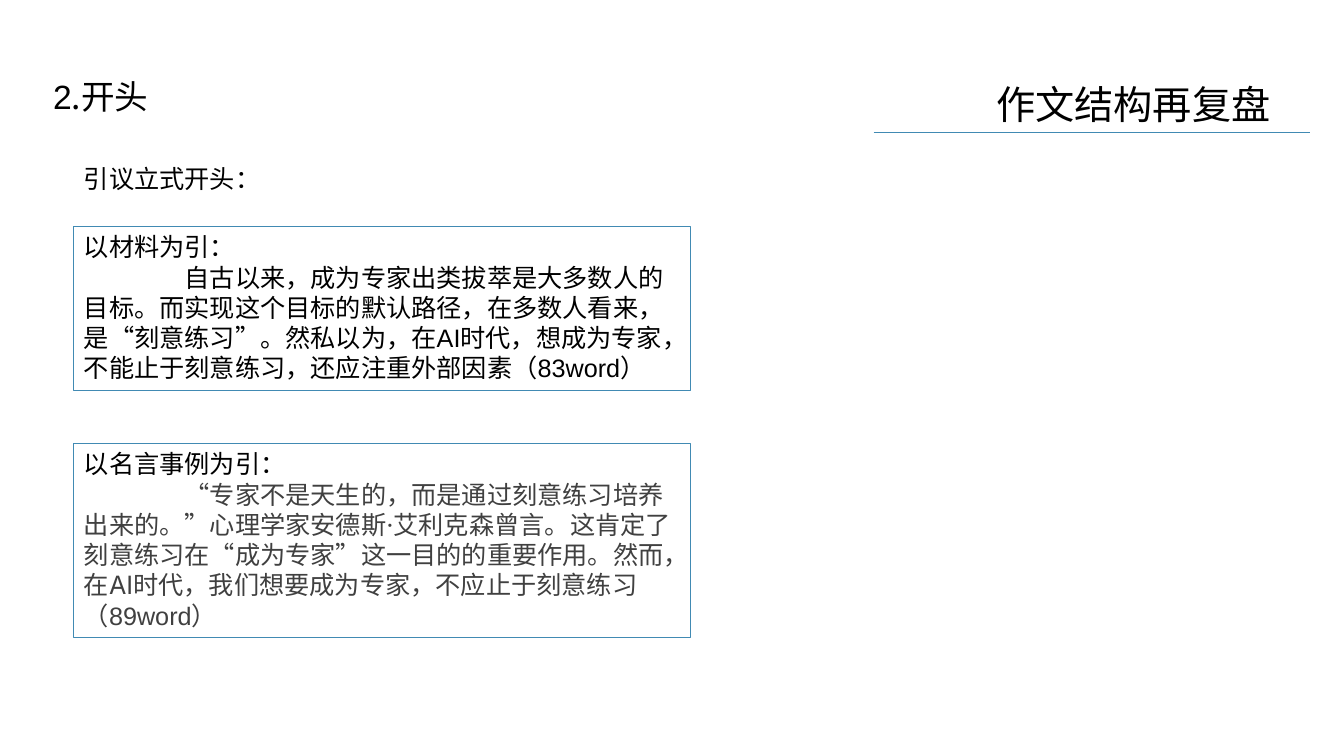
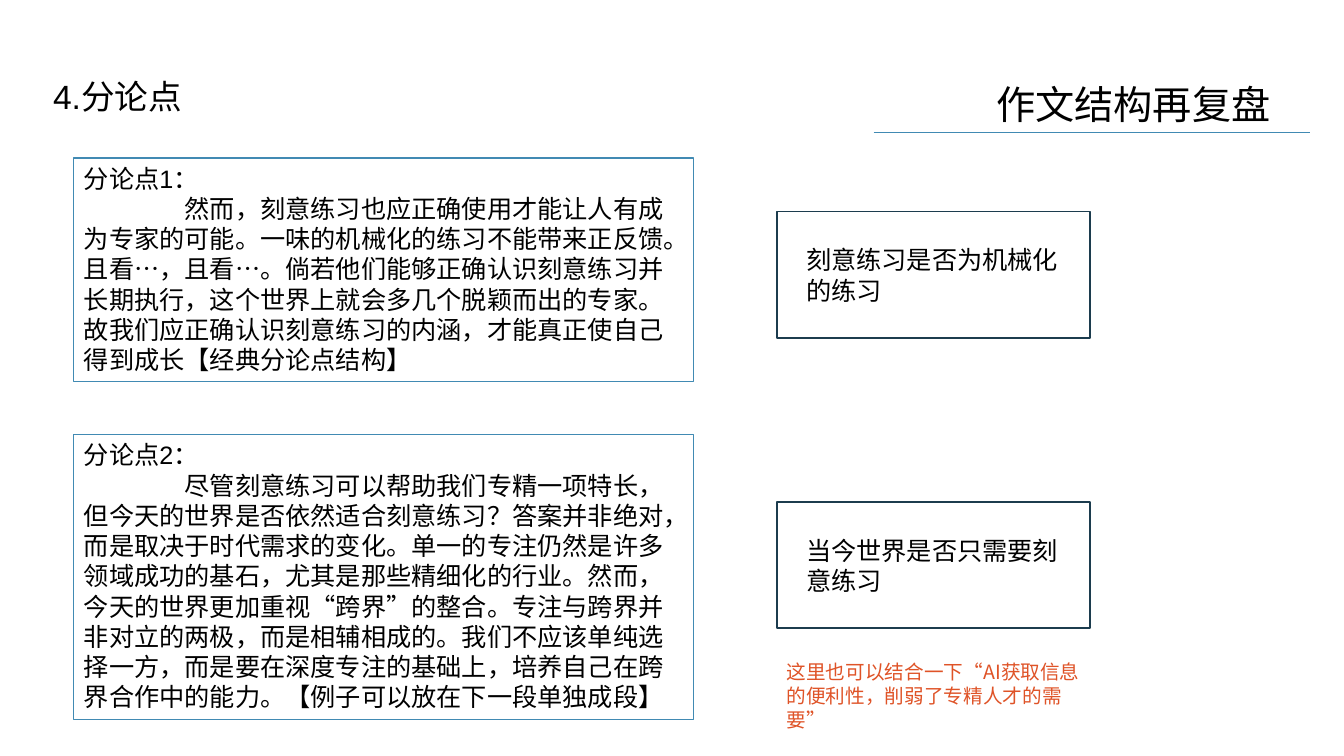
from dataclasses import dataclass

from lxml import etree
from pptx import Presentation
from pptx.dml.color import RGBColor
from pptx.enum.shapes import MSO_CONNECTOR, MSO_SHAPE
from pptx.enum.text import MSO_ANCHOR, MSO_AUTO_SIZE, PP_ALIGN
from pptx.oxml.ns import qn
from pptx.util import Emu, Inches, Pt

RECTANGLE = MSO_SHAPE.RECTANGLE
STRAIGHT = MSO_CONNECTOR.STRAIGHT
TOP, MIDDLE = MSO_ANCHOR.TOP, MSO_ANCHOR.MIDDLE
LEFT = PP_ALIGN.LEFT
NO_FIT, GROW = MSO_AUTO_SIZE.NONE, MSO_AUTO_SIZE.SHAPE_TO_FIT_TEXT

SLIDE_WIDTH, SLIDE_HEIGHT = Inches(13.33), Inches(7.5)
TITLE_ONLY = 5
ARIAL, INTER, CHINESE = "Arial", "Inter", "Noto Sans CJK SC"
BLACK, GREY, BLUE, NAVY, ORANGE = "000000", "404040", "418AB3", "1C3C4E", "DF5327"
OPENING_INDENT = Inches(1)


@dataclass(frozen=True)
class Area:
    """Left, top, width and height in percent of the slide."""
    left: float
    top: float
    width: float
    height: float

    def emu(self) -> tuple[Emu, Emu, Emu, Emu]:
        return (across(self.left), down(self.top), across(self.width), down(self.height))


@dataclass(frozen=True)
class Span:
    text: str
    font: str = ARIAL
    color: str = BLACK
    size: float = 18


@dataclass(frozen=True)
class Passage:
    area: Area
    label: str
    body: tuple[Span, ...]


@dataclass(frozen=True)
class Caption:
    area: Area
    span: Span


@dataclass(frozen=True)
class Lesson:
    heading: tuple[Span, ...]
    passages: tuple[Passage, ...]
    claims: tuple[Caption, ...] = ()
    remarks: tuple[Caption, ...] = ()


def across(percent: float) -> Emu:
    return Emu(round(SLIDE_WIDTH * percent / 100))


def down(percent: float) -> Emu:
    return Emu(round(SLIDE_HEIGHT * percent / 100))


def rgb(color: str) -> RGBColor:
    return RGBColor.from_string(color)


def add_spans(paragraph, spans: tuple[Span, ...]) -> None:
    paragraph.alignment = LEFT
    for span in spans:
        run = paragraph.add_run()
        run.text = span.text
        run.font.name = span.font
        run.font.size = Pt(span.size)
        run.font.color.rgb = rgb(span.color)
        east_asian = etree.SubElement(run.font._element, qn("a:ea"))
        east_asian.set("typeface", CHINESE)


def prepare_frame(shape, anchor=TOP, fit=GROW):
    frame = shape.text_frame
    frame.word_wrap = True
    frame.vertical_anchor = anchor
    frame.auto_size = fit
    return frame


def add_caption(slide, caption: Caption):
    textbox = slide.shapes.add_textbox(*caption.area.emu())
    add_spans(prepare_frame(textbox).paragraphs[0], (caption.span,))
    return textbox


def add_frame(slide, area: Area, color: str, weight: float):
    frame = slide.shapes.add_shape(RECTANGLE, *area.emu())
    frame.shadow.inherit = False
    frame.fill.background()
    frame.line.color.rgb = rgb(color)
    frame.line.width = Pt(weight)
    return frame


def add_passage(slide, passage: Passage) -> None:
    text = prepare_frame(add_frame(slide, passage.area, BLUE, 0.75))
    add_spans(text.paragraphs[0], (Span(passage.label),))
    body = text.add_paragraph()
    add_spans(body, passage.body)
    body._p.get_or_add_pPr().set("indent", str(OPENING_INDENT))


def add_claim(slide, claim: Caption) -> None:
    text = prepare_frame(add_frame(slide, claim.area, NAVY, 1), MIDDLE, NO_FIT)
    text.margin_left = text.margin_right = Inches(0.29)
    add_spans(text.paragraphs[0], (claim.span,))


def add_rule(slide, left: float, right: float, top: float):
    rule = slide.shapes.add_connector(
        STRAIGHT, across(left), down(top), across(right), down(top))
    rule.line.color.rgb = rgb(BLUE)
    rule.line.width = Pt(0.5)
    etree.SubElement(rule.element.spPr, qn("a:effectLst"))
    return rule


def add_banner_to_layout(slide) -> None:
    banner = (add_caption(slide, BANNER), add_rule(slide, 65, 97.5, 17.5))
    for number, part in enumerate(banner, start=101):
        part.element.xpath(".//p:cNvPr")[0].set("id", str(number))
        slide.slide_layout.shapes.element.append(part.element)


def set_heading(slide, spans: tuple[Span, ...]) -> None:
    heading = slide.shapes.title
    heading.left, heading.top, heading.width, heading.height = HEADING_AREA.emu()
    paragraph = prepare_frame(heading, TOP, NO_FIT).paragraphs[0]
    paragraph.line_spacing = 0.9
    add_spans(paragraph, spans)


def add_lesson(slide, lesson: Lesson) -> None:
    set_heading(slide, lesson.heading)
    for passage in lesson.passages:
        add_passage(slide, passage)
    for claim in lesson.claims:
        add_claim(slide, claim)
    for remark in lesson.remarks:
        add_caption(slide, remark)


BANNER = Caption(Area(73.4, 10, 24.1, 11.7), Span("作文结构再复盘", CHINESE, size=28))
HEADING_AREA = Area(3.2, 10, 23.3, 7.3)

LESSONS = (
    Lesson(
        heading=(Span("2", size=24), Span(".开头", CHINESE, size=24)),
        passages=(
            Passage(Area(5.5, 30, 45.9, 21.6), "以材料为引：", (
                Span("自古以来，成为专家出类拔萃是大多数人的目标。而实现这个目标的默认路径，"
                     "在多数人看来，是“刻意练习”。然私以为，在AI时代，想成为专家，"
                     "不能止于刻意练习，还应注重外部因素（83word）"),
            )),
            Passage(Area(5.5, 58.7, 45.9, 25.6), "以名言事例为引：", (
                Span("“专家不是天生的，而是通过刻意练习培养出来的。”心理学家安德斯·艾利克森曾言。"
                     "这肯定了刻意练习在“成为专家”这一目的的重要作用。然而，在AI时代，"
                     "我们想要成为专家，不应止于刻意练习", INTER, GREY),
                Span("（89word）", color=GREY),
            )),
        ),
        remarks=(Caption(Area(5.5, 20.9, 19.7, 5.3), Span("引议立式开头：")),),
    ),
    Lesson(
        heading=(Span("4.分论点", size=24),),
        passages=(
            Passage(Area(5.5, 20.9, 46.1, 29.6), "分论点1：", (
                Span("然而，刻意练习也应正确使用才能让人有成为专家的可能。"
                     "一味的机械化的练习不能带来正反馈。且看…，且看…。"
                     "倘若他们能够正确认识刻意练习并长期执行，这个世界上就会多几个脱颖而出的专家。"
                     "故我们应正确认识刻意练习的内涵，才能真正使自己得到成长【经典分论点结构】"),
            )),
            Passage(Area(5.5, 57.5, 46.1, 37.7), "分论点2：", (
                Span("尽管刻意练习可以帮助我们专精一项特长，但今天的世界是否依然适合刻意练习？"
                     "答案并非绝对，而是取决于时代需求的变化。"
                     "单一的专注仍然是许多领域成功的基石，尤其是那些精细化的行业。"
                     "然而，今天的世界更加重视“跨界”的整合。"
                     "专注与跨界并非对立的两极，而是相辅相成的。"
                     "我们不应该单纯选择一方，而是要在深度专注的基础上，"
                     "培养自己在跨界合作中的能力。【例子可以放在下一段单独成段】"),
            )),
        ),
        claims=(
            Caption(Area(57.8, 28, 23.3, 16.7), Span("刻意练习是否为机械化的练习")),
            Caption(Area(57.8, 66.4, 23.3, 16.7), Span("当今世界是否只需要刻意练习")),
        ),
        remarks=(
            Caption(Area(57.8, 86.7, 24.2, 7.6),
                    Span("这里也可以结合一下“AI获取信息的便利性，削弱了专精人才的需要”",
                         CHINESE, ORANGE, 14)),
        ),
    ),
)


def main() -> None:
    deck = Presentation()
    deck.slide_width, deck.slide_height = SLIDE_WIDTH, SLIDE_HEIGHT
    layout = deck.slide_layouts[TITLE_ONLY]
    for position, lesson in enumerate(LESSONS):
        slide = deck.slides.add_slide(layout)
        if position == 0:
            add_banner_to_layout(slide)
        add_lesson(slide, lesson)
    deck.save("out.pptx")


if __name__ == "__main__":
    main()
